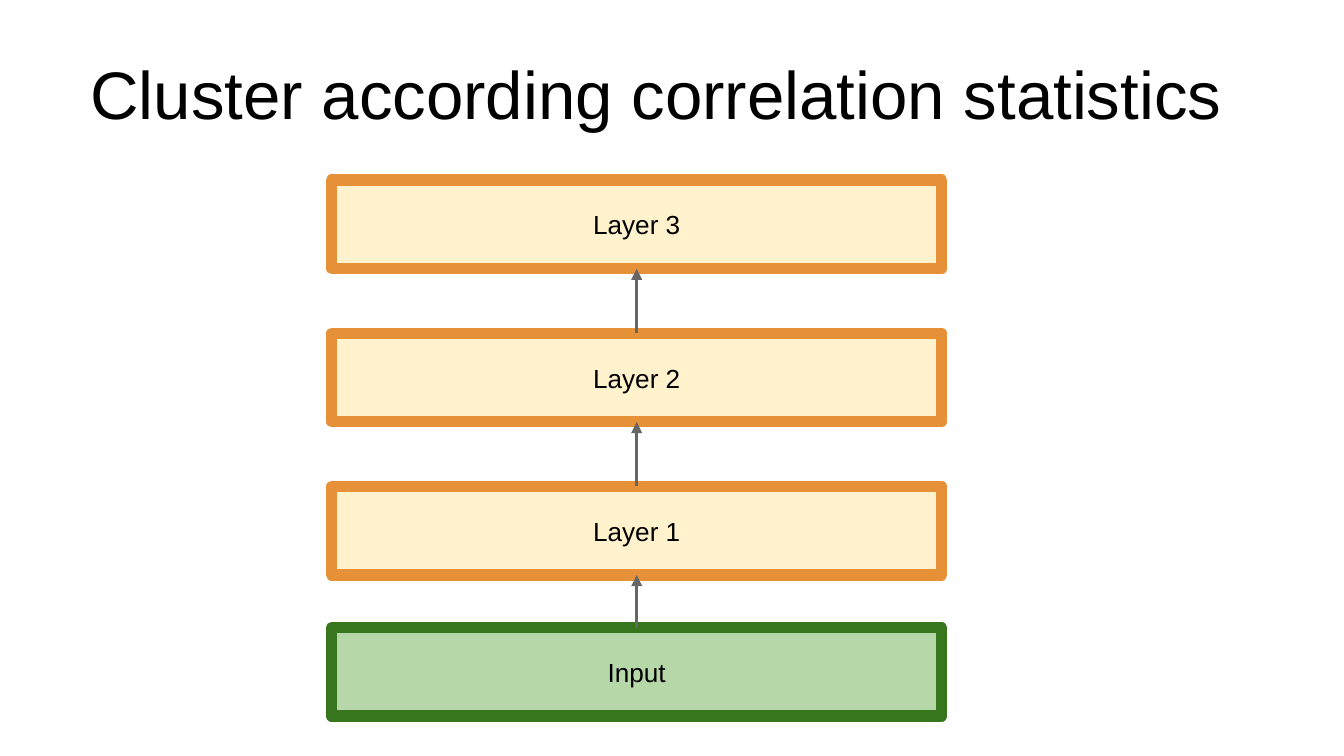
from dataclasses import dataclass

import lxml.etree
import pptx
import pptx.dml.color
import pptx.enum.shapes
import pptx.enum.text
import pptx.oxml.ns
import pptx.util

Pt = pptx.util.Pt
qn = pptx.oxml.ns.qn

FONT = "Arial"
LEFT, WIDTH, HEIGHT = 177.7, 326.8, 47.5
TOP, PITCH = 96.5, 82.05
INPUT_TOP = 336.2
INSET = 7.2


@dataclass
class Box:
    label: str
    top: float
    fill: str
    line: str


def rgb(value: str) -> pptx.dml.color.RGBColor:
    return pptx.dml.color.RGBColor.from_string(value)


def set_text(sp, text: str, size: float, anchor, align) -> None:
    tf = sp.text_frame
    tf.text = text
    tf.word_wrap = True
    tf.auto_size = pptx.enum.text.MSO_AUTO_SIZE.NONE
    tf.vertical_anchor = anchor
    tf.margin_left = tf.margin_right = Pt(INSET)
    tf.margin_top = tf.margin_bottom = Pt(INSET)
    p = tf.paragraphs[0]
    p.alignment = align
    p.line_spacing = 1.0
    p.space_before = Pt(0)
    font = p.runs[0].font
    font.name, font.size = FONT, Pt(size)
    font.color.rgb = rgb("000000")


def draw_box(slide, box: Box) -> None:
    sp = slide.shapes.add_shape(
        pptx.enum.shapes.MSO_SHAPE.RECTANGLE,
        Pt(LEFT), Pt(box.top), Pt(WIDTH), Pt(HEIGHT),
    )
    sp.shadow.inherit = False
    sp.fill.solid()
    sp.fill.fore_color.rgb = rgb(box.fill)
    sp.line.color.rgb = rgb(box.line)
    sp.line.width = Pt(6)
    lxml.etree.SubElement(sp.line._get_or_add_ln(), qn("a:round"))
    set_text(sp, box.label, 14, pptx.enum.text.MSO_ANCHOR.MIDDLE,
             pptx.enum.text.PP_ALIGN.CENTER)


def draw_arrow(slide, lower: Box, upper: Box) -> None:
    x = LEFT + WIDTH / 2
    cxn = slide.shapes.add_connector(
        pptx.enum.shapes.MSO_CONNECTOR.STRAIGHT,
        Pt(x), Pt(lower.top), Pt(x), Pt(upper.top + HEIGHT),
    )
    cxn.line.color.rgb = rgb("666666")
    cxn.line.width = Pt(1.5)
    lxml.etree.SubElement(cxn.line._get_or_add_ln(), qn("a:tailEnd"),
                          type="triangle")
    lxml.etree.SubElement(cxn._element.spPr, qn("a:effectLst"))


def main() -> None:
    prs = pptx.Presentation()
    prs.slide_width, prs.slide_height = Pt(720), Pt(405)
    s = prs.slides.add_slide(prs.slide_layouts[5])  # title only

    # Title
    title = s.shapes.title
    title.left, title.top = Pt(41.2), Pt(21)
    title.width, title.height = Pt(661), Pt(105)
    set_text(title, "Cluster according correlation statistics", 36,
             pptx.enum.text.MSO_ANCHOR.TOP, pptx.enum.text.PP_ALIGN.LEFT)

    # Stack of layers, top to bottom, with the input underneath
    boxes = [Box(f"Layer {3 - i}", TOP + i * PITCH, "FFF2CC", "E69138")
             for i in range(3)]
    boxes.append(Box("Input", INPUT_TOP, "B6D7A8", "38761D"))
    for box in boxes:
        draw_box(s, box)

    # Arrows from each box up to the next
    for upper, lower in zip(boxes, boxes[1:]):
        draw_arrow(s, lower, upper)

    prs.save("out.pptx")


if __name__ == "__main__":
    main()
